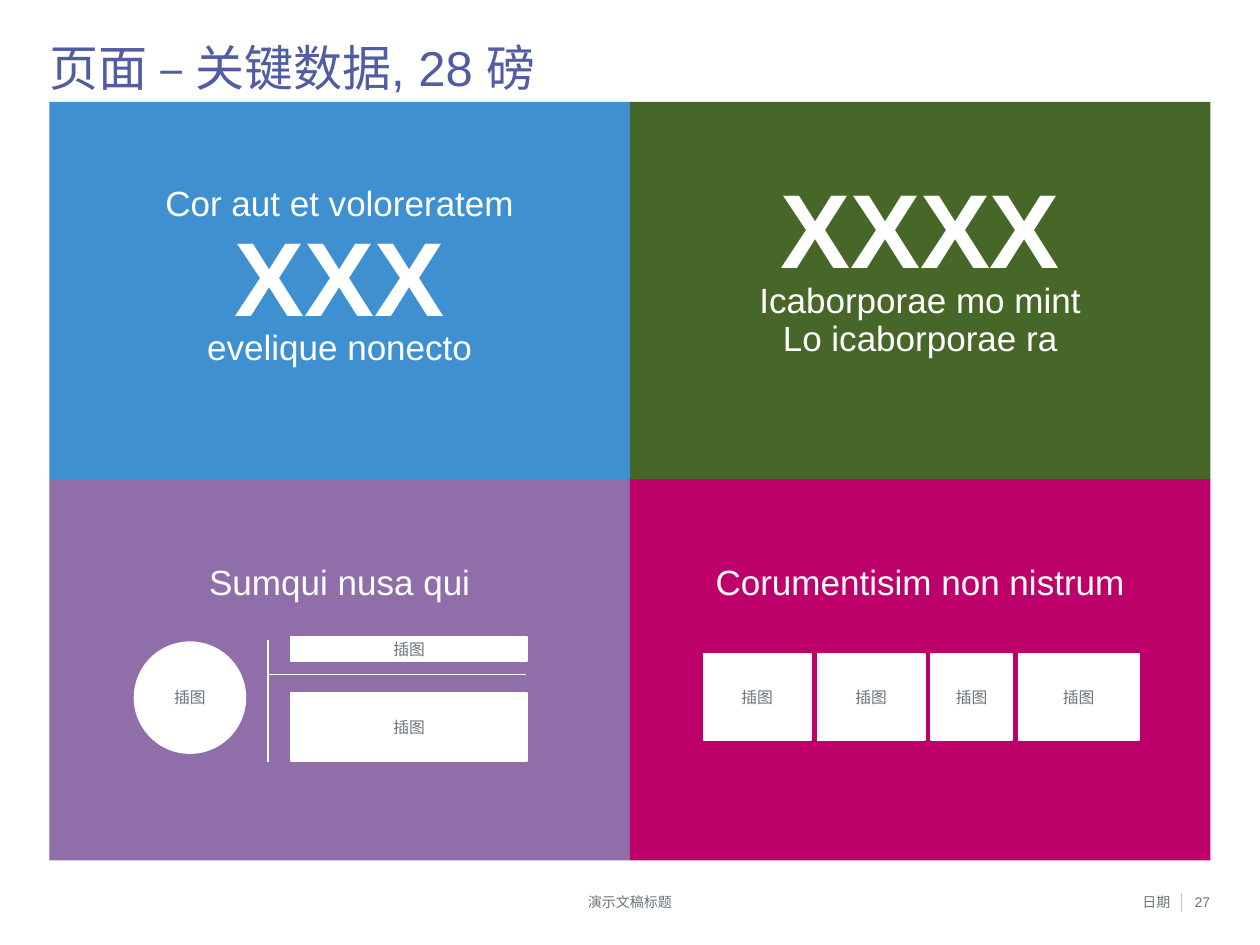
from typing import NamedTuple

from lxml.etree import SubElement
from pptx import Presentation
from pptx.dml.color import RGBColor
from pptx.enum.shapes import MSO_CONNECTOR, MSO_SHAPE
from pptx.enum.text import MSO_ANCHOR, MSO_AUTO_SIZE, PP_ALIGN
from pptx.oxml.ns import qn
from pptx.util import Pt

WHITE = RGBColor(0xFF, 0xFF, 0xFF)
BLUE = RGBColor(0x3E, 0x90, 0xD0)
GREEN = RGBColor(0x47, 0x67, 0x28)
PURPLE = RGBColor(0x8F, 0x6E, 0xAA)
MAGENTA = RGBColor(0xBE, 0x00, 0x6B)
INDIGO = RGBColor(0x52, 0x5C, 0xA3)
GREY = RGBColor(0x6B, 0x74, 0x7B)
PALE_GREY = RGBColor(0xC3, 0xC7, 0xCB)

FONT = "Arial"
PAGE_WIDTH, PAGE_HEIGHT = 720, 540
CENTRE = PAGE_WIDTH / 2
LEFT = 28.3
TILE_WIDTH = CENTRE - LEFT
TILE_TOP, TILE_MIDDLE, TILE_BOTTOM = 58.3, 273.8, 491.7
FOOTER_TOP, FOOTER_HEIGHT = 510.5, 9.4


class Area(NamedTuple):
    left: float
    top: float
    width: float
    height: float


class Tile(NamedTuple):
    area: Area
    color: RGBColor


class Label(NamedTuple):
    text: str
    area: Area
    size: float = 20
    bold: bool = False
    color: RGBColor = WHITE
    align: PP_ALIGN = PP_ALIGN.CENTER
    spacing: float = 0.9


class Rule(NamedTuple):
    start: tuple[float, float]
    end: tuple[float, float]
    color: RGBColor = WHITE
    width: float = 0.75


class Figure(NamedTuple):
    area: Area
    kind: MSO_SHAPE = MSO_SHAPE.RECTANGLE


UPPER_HEIGHT = TILE_MIDDLE - TILE_TOP
LOWER_HEIGHT = TILE_BOTTOM - TILE_MIDDLE
TILES = [
    Tile(Area(LEFT, TILE_TOP, TILE_WIDTH, UPPER_HEIGHT), BLUE),
    Tile(Area(LEFT, TILE_MIDDLE, TILE_WIDTH, LOWER_HEIGHT), PURPLE),
    Tile(Area(CENTRE, TILE_TOP, TILE_WIDTH, UPPER_HEIGHT), GREEN),
    Tile(Area(CENTRE, TILE_MIDDLE, TILE_WIDTH, LOWER_HEIGHT), MAGENTA),
]

KEY_FIGURES = [
    Label("Cor aut et voloreratem", Area(LEFT, 106.6, TILE_WIDTH, 36)),
    Label("XXX", Area(LEFT, 128.9, TILE_WIDTH, 114.5), size=60, bold=True),
    Label("evelique nonecto", Area(LEFT, 188.6, TILE_WIDTH, 36)),
    Label("XXXX", Area(CENTRE, 101.5, TILE_WIDTH, 78.5), size=60, bold=True),
    Label("Icaborporae mo mint\nLo icaborporae ra", Area(CENTRE, 162, TILE_WIDTH, 82.8)),
    Label("Sumqui nusa qui", Area(LEFT, 323.3, TILE_WIDTH, 21.6)),
    Label("Corumentisim non nistrum", Area(CENTRE, 323.3, TILE_WIDTH, 21.6)),
]

FOOTERS = [
    Label("日期", Area(607.7, FOOTER_TOP, 61.2, FOOTER_HEIGHT), 8, False, GREY, PP_ALIGN.RIGHT, 1),
    Label("演示文稿标题", Area(98.6, FOOTER_TOP, 522.8, FOOTER_HEIGHT), 8, False, GREY, spacing=1),
    Label("27", Area(666.7, FOOTER_TOP, 24.8, FOOTER_HEIGHT), 8, False, GREY, PP_ALIGN.RIGHT, 1),
]

RULES = [
    Rule((675.4, 510.5), (675.4, 521.3), PALE_GREY, 0.5),
    Rule((153.2, 365.8), (153.2, 435.2)),
    Rule((153.2, 385.3), (300.5, 385.3)),
]

STRIP_LEFT, STRIP_TOP, STRIP_HEIGHT, STRIP_GAP = 402, 373.6, 49.2, 3.8
STRIP_WIDTHS = [61.3, 61.3, 46, 68.7]


def strip_figures() -> list[Figure]:
    figures = []
    left = STRIP_LEFT
    for width in STRIP_WIDTHS:
        figures.append(Figure(Area(left, STRIP_TOP, width, STRIP_HEIGHT)))
        left += width + STRIP_GAP
    return figures


FIGURES = [
    Figure(Area(76.9, 367, 63.3, 63.3), MSO_SHAPE.OVAL),
    Figure(Area(166.2, 363.9, 135.2, 13.9)),
    Figure(Area(166.2, 396, 135.2, 38.9)),
    *strip_figures(),
]


def in_points(area: Area) -> list[Pt]:
    return [Pt(value) for value in area]


def write_text(box, text: str, *, size: float, color: RGBColor, bold: bool = False,
               align: PP_ALIGN = PP_ALIGN.CENTER, anchor: MSO_ANCHOR = MSO_ANCHOR.TOP,
               spacing: float = 1) -> None:
    frame = box.text_frame
    frame.margin_left = frame.margin_top = frame.margin_right = frame.margin_bottom = 0
    frame.word_wrap = True
    frame.auto_size = MSO_AUTO_SIZE.NONE
    frame.vertical_anchor = anchor
    frame.text = text
    for para in frame.paragraphs:
        para.alignment = align
        para.line_spacing = spacing
        for span in para.runs:
            span.font.name = FONT
            span.font.size = Pt(size)
            span.font.bold = bold
            span.font.color.rgb = color


def add_filled_shape(page, kind: MSO_SHAPE, area: Area, color: RGBColor):
    shape = page.shapes.add_shape(kind, *in_points(area))
    shape.shadow.inherit = False
    shape.fill.solid()
    shape.fill.fore_color.rgb = color
    return shape


def draw_tile(page, tile: Tile) -> None:
    shape = add_filled_shape(page, MSO_SHAPE.RECTANGLE, tile.area, tile.color)
    shape.line.fill.background()


def draw_figure(page, figure: Figure) -> None:
    shape = add_filled_shape(page, figure.kind, figure.area, WHITE)
    shape.line.color.rgb = WHITE
    shape.line.width = Pt(1)
    write_text(shape, "插图", size=9, color=GREY, anchor=MSO_ANCHOR.MIDDLE)


def draw_label(page, label: Label) -> None:
    box = page.shapes.add_textbox(*in_points(label.area))
    write_text(box, label.text, size=label.size, color=label.color, bold=label.bold,
               align=label.align, spacing=label.spacing)


def draw_rule(page, rule: Rule) -> None:
    ends = [Pt(value) for value in (*rule.start, *rule.end)]
    line = page.shapes.add_connector(MSO_CONNECTOR.STRAIGHT, *ends)
    line.line.color.rgb = rule.color
    line.line.width = Pt(rule.width)
    SubElement(line._element.spPr, qn("a:effectLst"))


def set_title(page) -> None:
    title = page.shapes.title
    title.left, title.top, title.width, title.height = in_points(
        Area(LEFT, 25.2, 2 * TILE_WIDTH, 30.2))
    write_text(title, "页面 – 关键数据, 28 磅", size=28, color=INDIGO, align=PP_ALIGN.LEFT,
               anchor=MSO_ANCHOR.MIDDLE, spacing=0.9)


def main() -> None:
    deck = Presentation()
    deck.slide_width, deck.slide_height = Pt(PAGE_WIDTH), Pt(PAGE_HEIGHT)
    page = deck.slides.add_slide(deck.slide_layouts[5])
    set_title(page)
    for tile in TILES:
        draw_tile(page, tile)
    for label in KEY_FIGURES + FOOTERS:
        draw_label(page, label)
    for rule in RULES:
        draw_rule(page, rule)
    for figure in FIGURES:
        draw_figure(page, figure)
    deck.save("out.pptx")


if __name__ == "__main__":
    main()
